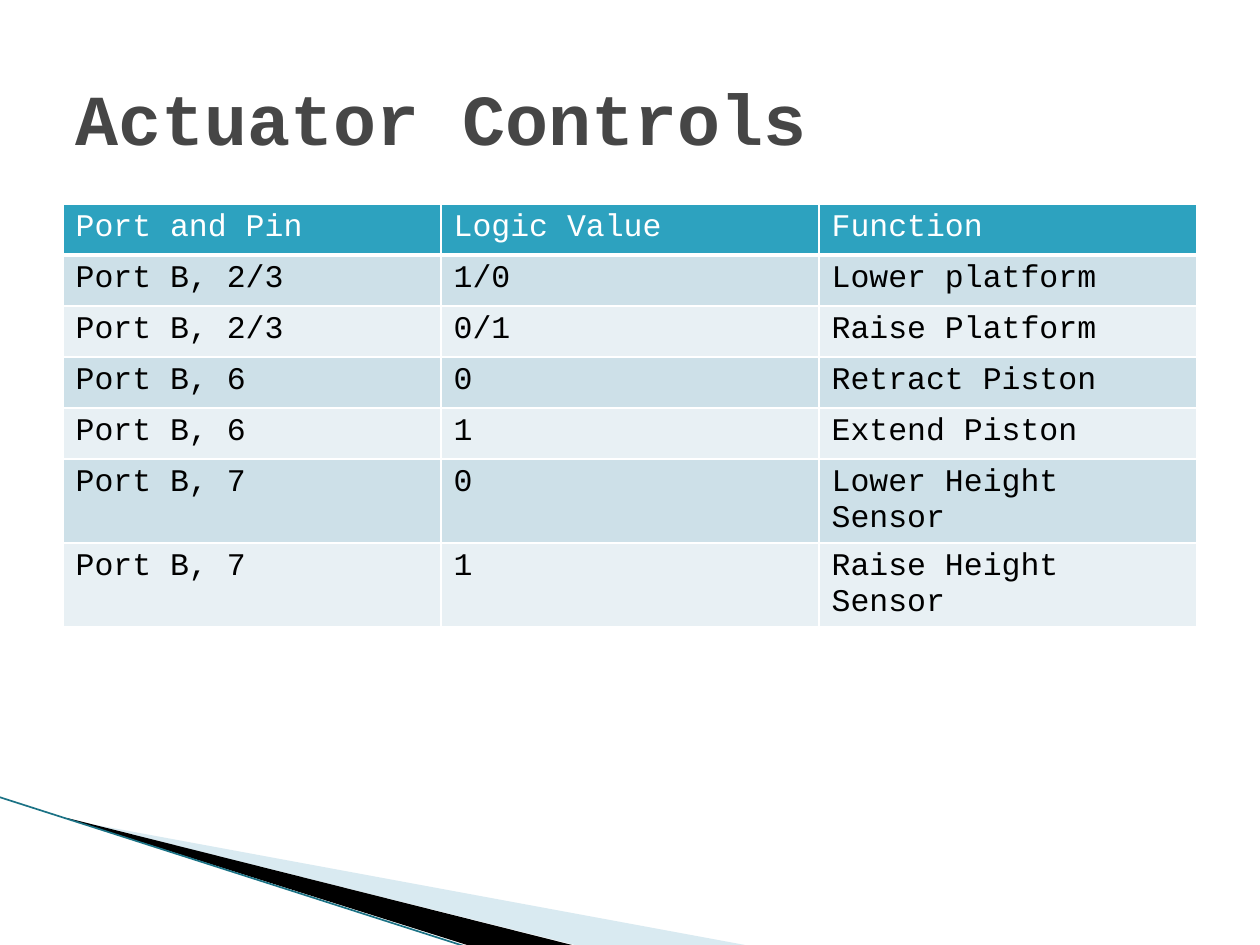
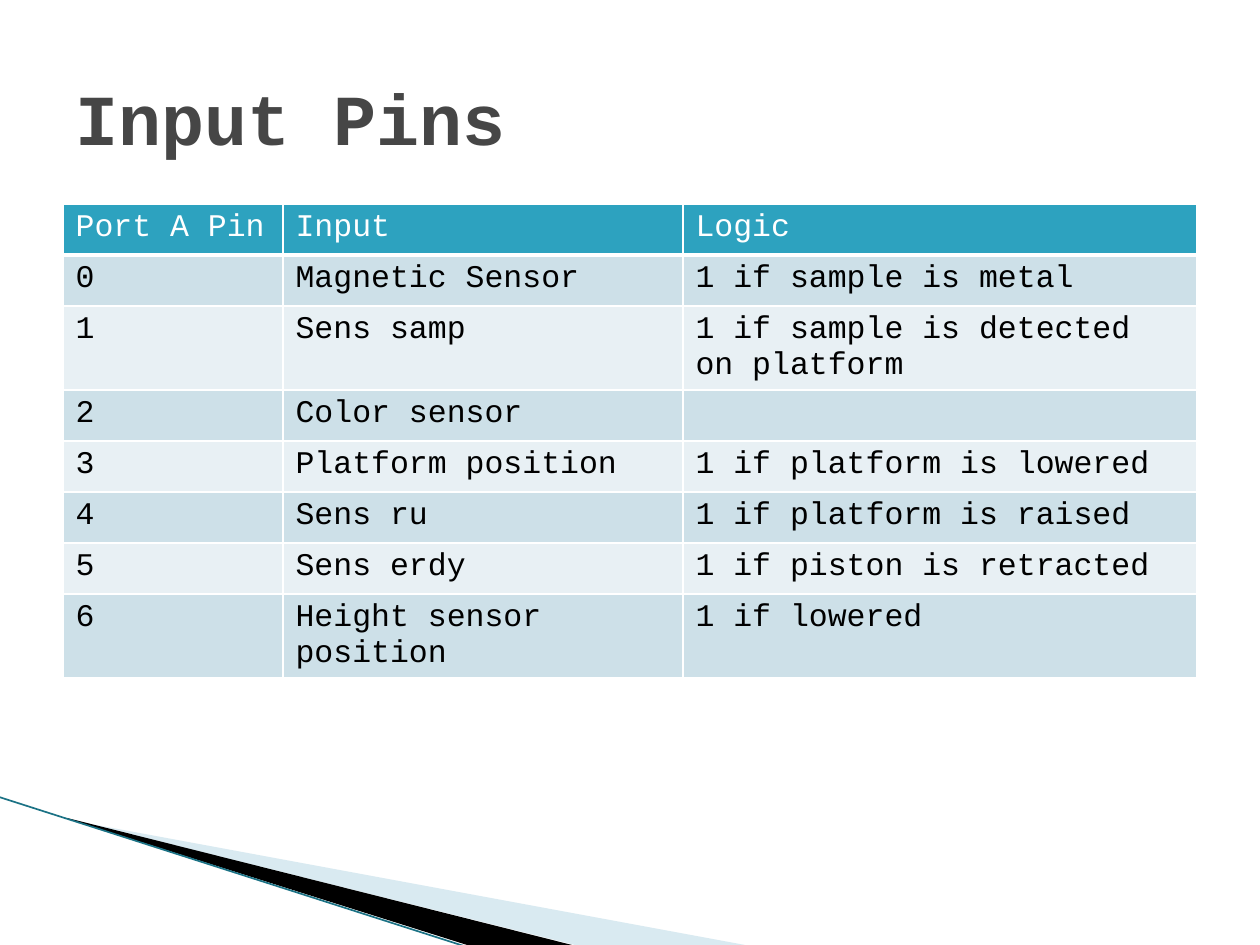
from lxml import etree
from pptx import Presentation
from pptx.dml.color import RGBColor
from pptx.enum.shapes import MSO_CONNECTOR
from pptx.enum.text import MSO_ANCHOR
from pptx.oxml.ns import qn
from pptx.util import Pt

STRAIGHT = MSO_CONNECTOR.STRAIGHT
MIDDLE = MSO_ANCHOR.MIDDLE
SCALE = 914400 / 126
FONT = "Courier New"
WHITE, BLACK, GREY = "FFFFFF", "000000", "464646"
HEAD, BANDS = "2DA2BF", ("CDE0E8", "E8F0F4")
PALE, TEAL = "A0CBDC", "1B7285"
LEFT, WIDTH, ROW = 63, 1134, 51

# Outline, colour and opacity in percent of each corner wedge
WEDGES = [
    ([(69, 820), (745, 945), (575, 945), (69, 819)], PALE, 40),
    ([(67, 818), (572, 945), (467, 945), (68, 819)], BLACK, 100),
]

# Title, column widths and table rows of each slide
SLIDES = [
    ("Actuator Controls", (378, 378, 378), [
        ("Port and Pin", "Logic Value", "Function"),
        ("Port B, 2/3", "1/0", "Lower platform"),
        ("Port B, 2/3", "0/1", "Raise Platform"),
        ("Port B, 6", "0", "Retract Piston"),
        ("Port B, 6", "1", "Extend Piston"),
        ("Port B, 7", "0", "Lower Height Sensor"),
        ("Port B, 7", "1", "Raise Height Sensor"),
    ]),
    ("Input Pins", (220, 400, 514), [
        ("Port A Pin", "Input", "Logic"),
        ("0", "Magnetic Sensor", "1 if sample is metal"),
        ("1", "Sens samp", "1 if sample is detected on platform"),
        ("2", "Color sensor", ""),
        ("3", "Platform position", "1 if platform is lowered"),
        ("4", "Sens ru", "1 if platform is raised"),
        ("5", "Sens erdy", "1 if piston is retracted"),
        ("6", "Height sensor position", "1 if lowered"),
    ]),
]


def px(*sizes):
    """Turn pixels into a list of EMU lengths."""
    return [round(size * SCALE) for size in sizes]


def style(font, size, color, bold=False):
    """Set the typeface, size, colour and weight of a font."""
    font.name, font.size, font.bold = FONT, Pt(size), bold
    font.color.rgb = RGBColor.from_string(color)


deck = Presentation()
deck.slide_width, deck.slide_height = px(1260, 945)

for title, widths, rows in SLIDES:
    slide = deck.slides.add_slide(deck.slide_layouts[6])
    shapes = slide.shapes

    # Corner wedges
    for points, color, alpha in WEDGES:
        pen = shapes.build_freeform(*points[0], scale=SCALE)
        pen.add_line_segments(points[1:], close=True)
        wedge = pen.convert_to_shape()
        wedge.shadow.inherit = False
        wedge.line.fill.background()
        wedge.fill.solid()
        wedge.fill.fore_color.rgb = RGBColor.from_string(color)
        if alpha < 100:
            tint = next(wedge._element.spPr.iter(qn("a:srgbClr")))
            etree.SubElement(tint, qn("a:alpha"), val=str(alpha * 1000))

    edge = shapes.add_connector(STRAIGHT, *px(-1, 797, 467, 947))
    edge.line.width = Pt(0.95)
    edge.line.color.rgb = RGBColor.from_string(TEAL)
    etree.SubElement(edge._element.spPr, qn("a:effectLst"))

    # Table with a header and banded rows
    frame = shapes.add_table(len(rows), len(widths),
                             *px(LEFT, 204, WIDTH, ROW * len(rows)))
    table = frame.table
    for column, width in zip(table.columns, widths):
        column.width = px(width)[0]
    for r, words in enumerate(rows):
        table.rows[r].height = px(ROW)[0]
        for c, word in enumerate(words):
            cell = table.cell(r, c)
            props = cell._tc.get_or_add_tcPr()
            for side in "LRTB":
                thick = (r == 0 and side == "B") or (r == 1 and side == "T")
                line = etree.SubElement(props, qn("a:ln" + side),
                                        w=str(Pt(3 if thick else 1)))
                solid = etree.SubElement(line, qn("a:solidFill"))
                etree.SubElement(solid, qn("a:srgbClr"), val=WHITE)
            cell.fill.solid()
            fill = BANDS[(r - 1) % 2] if r else HEAD
            cell.fill.fore_color.rgb = RGBColor.from_string(fill)
            cell.text_frame.text = word
            style(cell.text_frame.paragraphs[0].font, 18,
                  BLACK if r else WHITE)
            for run in cell.text_frame.paragraphs[0].runs:
                style(run.font, 18, BLACK if r else WHITE)

    # Title
    text = shapes.add_textbox(*px(LEFT, 38, WIDTH, 157)).text_frame
    text.word_wrap = True
    text.vertical_anchor = MIDDLE
    text.text = title
    style(text.paragraphs[0].runs[0].font, 41, GREY, True)

deck.save("out.pptx")
